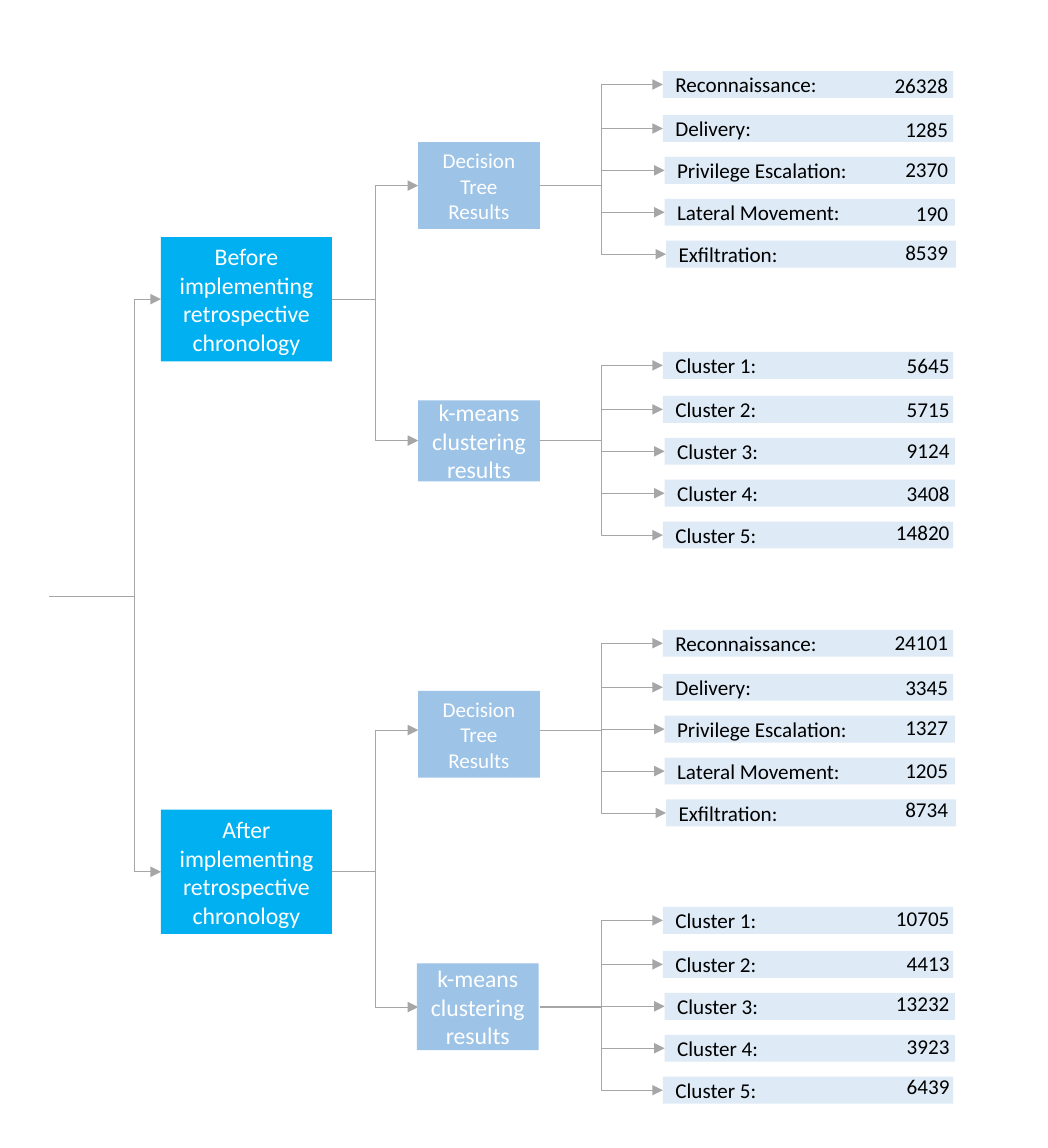
from lxml.etree import SubElement
from pptx import Presentation
from pptx.dml.color import RGBColor
from pptx.enum.shapes import MSO_CONNECTOR, MSO_SHAPE
from pptx.enum.text import MSO_ANCHOR, MSO_AUTO_SIZE, PP_ALIGN
from pptx.oxml.ns import qn
from pptx.util import Pt

BRIGHT_BLUE = RGBColor(0x00, 0xB0, 0xF0)
MID_BLUE = RGBColor(0x9D, 0xC3, 0xE6)
PALE_BLUE = RGBColor(0xDE, 0xEB, 0xF7)
GREY = RGBColor(0xA6, 0xA6, 0xA6)
WHITE = RGBColor(0xFF, 0xFF, 0xFF)
BLACK = RGBColor(0x00, 0x00, 0x00)

presentation = Presentation()
presentation.slide_width = Pt(595.4)
presentation.slide_height = Pt(652.3)
slide = presentation.slides.add_slide(presentation.slide_layouts[6])


def add_text(left, top, width, height, text, size, color, align, fill=None):
    """Add a filled rectangle, or a plain text box when there is no fill."""
    box = (Pt(left), Pt(top), Pt(width), Pt(height))
    if fill is None:
        shape = slide.shapes.add_textbox(*box)
        shape.text_frame.auto_size = MSO_AUTO_SIZE.SHAPE_TO_FIT_TEXT
    else:
        shape = slide.shapes.add_shape(MSO_SHAPE.RECTANGLE, *box)
        shape.shadow.inherit = False
        shape.fill.solid()
        shape.fill.fore_color.rgb = fill
        shape.line.fill.background()
        shape.text_frame.vertical_anchor = MSO_ANCHOR.MIDDLE
    shape.text_frame.word_wrap = True
    paragraph = shape.text_frame.paragraphs[0]
    paragraph.alignment = align
    run = paragraph.add_run()
    run.text = text
    run.font.name = "Calibri"
    run.font.size = Pt(size)
    run.font.color.rgb = color


def add_line(x1, y1, x2, y2, bend=None):
    """Add a straight line, or an elbow arrow that turns at x = bend."""
    kind = MSO_CONNECTOR.STRAIGHT if bend is None else MSO_CONNECTOR.ELBOW
    connector = slide.shapes.add_connector(kind, Pt(x1), Pt(y1), Pt(x2), Pt(y2))
    connector.line.color.rgb = GREY
    connector.line.width = Pt(0.5)
    properties = connector.element.spPr
    SubElement(properties, qn("a:effectLst"))
    if bend is not None:
        SubElement(properties.find(qn("a:ln")), qn("a:tailEnd"), type="triangle")
        share = round((bend - x1) / (x2 - x1) * 100000)
        guides = properties.find(qn("a:prstGeom")).find(qn("a:avLst"))
        SubElement(guides, qn("a:gd"), name="adj1", fmla=f"val {share}")


# Columns of the tree
ROOT_X, ROOT_Y = 76.3, 339.1
BRANCH_LEFT, BRANCH_WIDTH, BRANCH_HEIGHT = 91.4, 97.2, 70.6
METHOD_LEFT, METHOD_WIDTH = 237.6, 69.1
METHOD_BEND, ROW_BEND = 213.1, 341.6
ROW_WIDTH, ROW_HEIGHT = 164.9, 15.3
VALUE_WIDTH, VALUE_HEIGHT = 47.5, 21.6

# Vertical rhythm of the five rows in a group
ROW_OFFSETS = [0, 25, 48.8, 72.6, 96.4]
VALUE_OFFSETS = [0, 25.2, 48.2, 72.7, 95]

# Each method: row labels, row lefts, title, title size, value left
STAGES = ["Reconnaissance:", "Delivery:", "Privilege Escalation:",
          "Lateral Movement:", "Exfiltration:"]
CLUSTERS = [f"Cluster {number}:" for number in range(1, 6)]
DECISION_TREE = (STAGES, [376.6, 376.6, 377.6, 377.6, 378.4],
                 "Decision Tree Results", 12, 498.2)
K_MEANS = (CLUSTERS, [376.6, 376.6, 377.6, 377.6, 376.6],
           "k-means clustering results", 13.5, 499)

# Each group: method, box left, top and height, line y, first row and value top
BRANCHES = [
    ("Before implementing retrospective chronology", 134.7, [
        (DECISION_TREE, 237.6, 80.8, 49.3, 105.5, 40.4, 37.4,
         [26328, 1285, 2370, 190, 8539]),
        (K_MEANS, 237.6, 227.5, 46.1, 250.4, 200, 196.6,
         [5645, 5715, 9124, 3408, 14820]),
    ]),
    ("After implementing retrospective chronology", 460.1, [
        (DECISION_TREE, 237.6, 392.6, 49.3, 414.9, 357.9, 354.3,
         [24101, 3345, 1327, 1205, 8734]),
        (K_MEANS, 236.9, 547.4, 49.3, 572.2, 515.4, 511.2,
         [10705, 4413, 13232, 3923, 6439]),
    ]),
]

# Root line
add_line(ROOT_X, ROOT_Y, 28.1, ROOT_Y)

for branch_title, branch_top, groups in BRANCHES:
    # Branch box with its arrow from the root
    branch_y = branch_top + BRANCH_HEIGHT / 2
    add_line(ROOT_X, ROOT_Y, BRANCH_LEFT, branch_y, ROOT_X)
    add_text(BRANCH_LEFT, branch_top, BRANCH_WIDTH, BRANCH_HEIGHT,
             branch_title, 13.5, WHITE, PP_ALIGN.CENTER, BRIGHT_BLUE)

    for method, left, top, height, line_y, row_top, value_top, values in groups:
        # Method box with its arrow from the branch
        labels, row_lefts, title, size, value_left = method
        add_line(BRANCH_LEFT + BRANCH_WIDTH, branch_y,
                 METHOD_LEFT, line_y, METHOD_BEND)
        add_text(left, top, METHOD_WIDTH, height,
                 title, size, WHITE, PP_ALIGN.CENTER, MID_BLUE)

        # Result rows with their arrows and values
        for label, row_left, row_offset, value_offset, value in zip(
                labels, row_lefts, ROW_OFFSETS, VALUE_OFFSETS, values):
            y = row_top + row_offset
            add_line(METHOD_LEFT + METHOD_WIDTH, line_y,
                     row_left, y + ROW_HEIGHT / 2, ROW_BEND)
            add_text(row_left, y, ROW_WIDTH, ROW_HEIGHT,
                     label, 12, BLACK, PP_ALIGN.LEFT, PALE_BLUE)
            add_text(value_left, value_top + value_offset, VALUE_WIDTH,
                     VALUE_HEIGHT, str(value), 12, BLACK, PP_ALIGN.RIGHT)

presentation.save("out.pptx")
